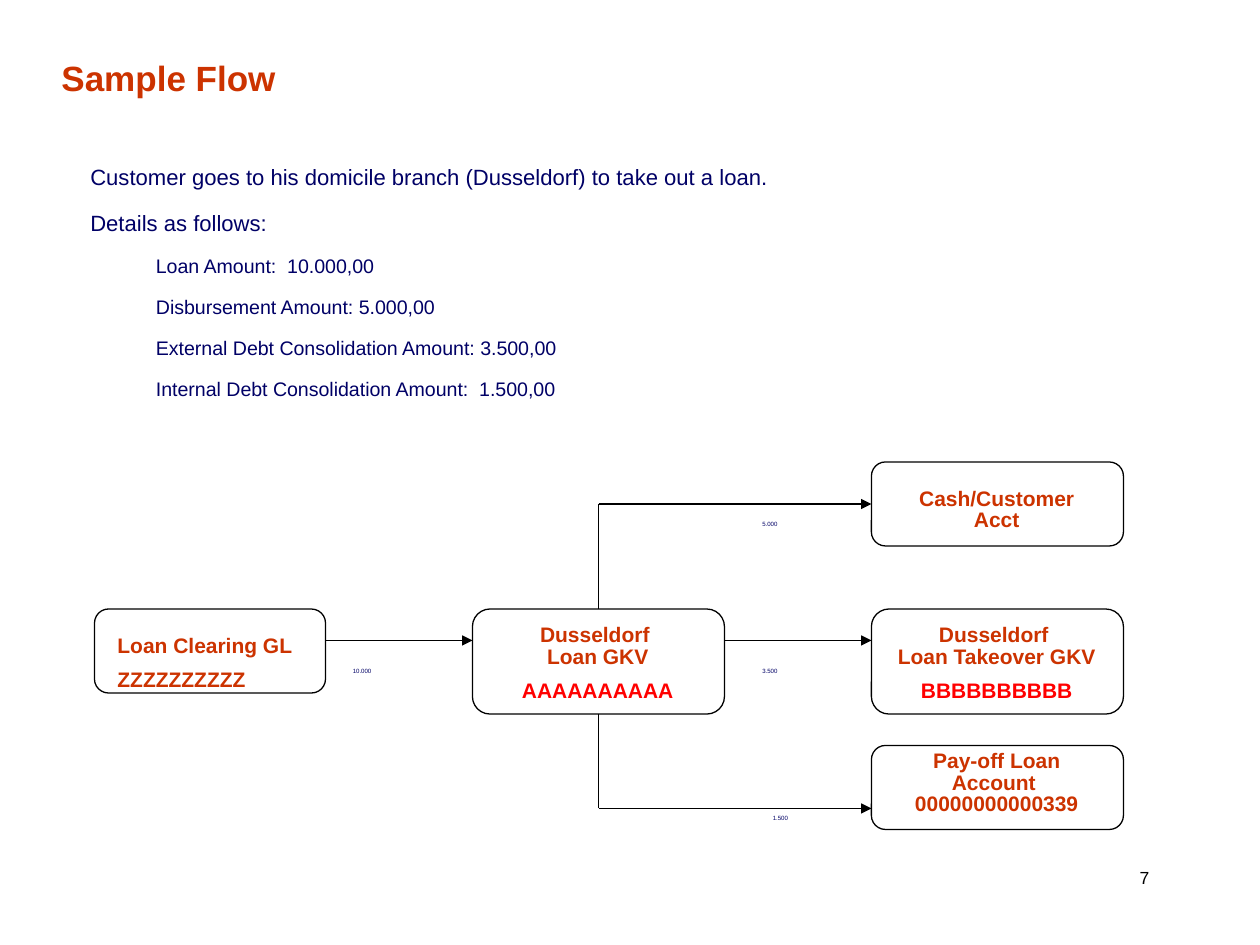
"""Build the sample loan flow slide."""
from dataclasses import dataclass
from typing import NamedTuple, Optional

from lxml import etree
from pptx import Presentation
from pptx.dml.color import RGBColor
from pptx.enum.shapes import MSO_CONNECTOR, MSO_SHAPE
from pptx.enum.text import MSO_ANCHOR, MSO_AUTO_SIZE, PP_ALIGN
from pptx.oxml.ns import qn
from pptx.util import Pt

LEFT, CENTER = PP_ALIGN.LEFT, PP_ALIGN.CENTER
TOP, MIDDLE = MSO_ANCHOR.TOP, MSO_ANCHOR.MIDDLE
GROW, FIXED = MSO_AUTO_SIZE.SHAPE_TO_FIT_TEXT, MSO_AUTO_SIZE.NONE
ROUND, STRAIGHT = MSO_SHAPE.ROUNDED_RECTANGLE, MSO_CONNECTOR.STRAIGHT
UP, WEST, DOWN = 0, 1, 2


@dataclass(frozen=True)
class Theme:
    font: str = "Arial"
    black: str = "000000"
    navy: str = "000066"
    rust: str = "CC3300"
    red: str = "FF0000"
    title: float = 20
    body: float = 12.6
    detail: float = 11.2
    node: float = 12
    page: float = 10
    label: float = 3.5
    line: float = 0.75
    tight: float = 0.85


THEME = Theme()


class Area(NamedTuple):
    left: float
    top: float
    width: float
    height: float


@dataclass(frozen=True)
class Para:
    text: str
    size: float
    color: str
    bold: bool = False
    before: float = 0
    spacing: Optional[float] = None
    align: PP_ALIGN = LEFT
    level: int = 0
    indent: float = 0


@dataclass(frozen=True)
class Node:
    area: Area
    inset: float
    height: float
    name: str
    code: str = ""
    tint: str = THEME.red
    align: PP_ALIGN = CENTER


@dataclass(frozen=True)
class Link:
    start: tuple[float, float]
    end: tuple[float, float]
    arrow: bool = False
    source: Optional[tuple[str, int]] = None
    target: Optional[tuple[str, int]] = None


class Label(NamedTuple):
    text: str
    left: float
    top: float


COL, WIDE = 498, 144
NODES = {
    "clear": Node(Area(54, 348, 132, 48), 12, 39.6, "Loan Clearing GL",
                  "ZZZZZZZZZZ", THEME.rust, LEFT),
    "loan": Node(Area(270, 348, WIDE, 60), 6, 51.8,
                 "Dusseldorf \nLoan GKV", "AAAAAAAAAA"),
    "take": Node(Area(COL, 348, WIDE, 60), 6, 51.8,
                 "Dusseldorf \nLoan Takeover GKV", "BBBBBBBBBB"),
    "pay": Node(Area(COL, 426, WIDE, 48), 0, 44.6,
                "Pay-off Loan Account \n00000000000339"),
    "cash": Node(Area(COL, 264, WIDE, 48), 12, 32.4, "Cash/Customer Acct"),
}
LINKS = [
    Link((186, 366), (270, 366), True),
    Link((414, 366), (COL, 366), True),
    Link((342, 348), (342, 288), source=("loan", UP)),
    Link((342, 408), (342, 462), source=("loan", DOWN)),
    Link((342, 462), (COL, 462), True),
    Link((342, 288), (COL, 288), True, target=("cash", WEST)),
]
LABELS = [Label("10.000", 198, 378), Label("3.500", 432, 378),
          Label("1.500", 438, 462), Label("5.000", 432, 294)]
INTRO = ["Customer goes to his domicile branch (Dusseldorf) to take out a loan.",
         "Details as follows:"]
DETAILS = ["Loan Amount:  10.000,00",
           "Disbursement Amount: 5.000,00",
           "External Debt Consolidation Amount: 3.500,00",
           "Internal Debt Consolidation Amount:  1.500,00"]


def add_text(slide, area: Area, paras: list[Para], side: float = 7.2,
             anchor: MSO_ANCHOR = TOP, fit: MSO_AUTO_SIZE = FIXED) -> None:
    frame = slide.shapes.add_textbox(*map(Pt, area)).text_frame
    frame.word_wrap = True
    frame.auto_size = fit
    frame.vertical_anchor = anchor
    frame.margin_left = frame.margin_right = Pt(side)
    frame.margin_top = frame.margin_bottom = Pt(3.6)
    for index, para in enumerate(paras):
        block = frame.add_paragraph() if index else frame.paragraphs[0]
        block.alignment = para.align
        block.level = para.level
        block.space_before = Pt(para.before)
        if para.spacing:
            block.line_spacing = para.spacing
        if para.indent:
            block._p.get_or_add_pPr().set("marL", str(Pt(para.indent)))
        for row, text in enumerate(para.text.split("\n")):
            if row:
                block.add_line_break()
            run = block.add_run()
            run.text = text
            run.font.name = THEME.font
            run.font.size = Pt(para.size)
            run.font.bold = para.bold
            run.font.color.rgb = RGBColor.from_string(para.color)


def add_node(slide, node: Node):
    box = slide.shapes.add_shape(ROUND, *map(Pt, node.area))
    box.adjustments[0] = 0.167
    box.shadow.inherit = False
    box.fill.background()
    box.line.color.rgb = RGBColor.from_string(THEME.black)
    box.line.width = Pt(THEME.line)
    rows = [(node.name, THEME.rust), (node.code, node.tint)]
    paras = [Para(text, THEME.node, color, True, 7.5, THEME.tight, node.align)
             for text, color in rows if text]
    left, top, width, _ = node.area
    area = Area(left + 6, top + node.inset, width - 12.8, node.height)
    add_text(slide, area, paras, fit=GROW)
    return box


def add_link(slide, link: Link, boxes: dict) -> None:
    line = slide.shapes.add_connector(
        STRAIGHT, *map(Pt, link.start + link.end))
    line.line.color.rgb = RGBColor.from_string(THEME.black)
    line.line.width = Pt(THEME.line)
    if link.source:
        name, side = link.source
        line.begin_connect(boxes[name], side)
    if link.target:
        name, side = link.target
        line.end_connect(boxes[name], side)
    if link.arrow:
        etree.SubElement(line.line._get_or_add_ln(), qn("a:tailEnd"),
                         type="triangle")
    etree.SubElement(line._element.spPr, qn("a:effectLst"))


def main() -> None:
    deck = Presentation()
    deck.slide_width, deck.slide_height = Pt(720), Pt(540)
    slide = deck.slides.add_slide(deck.slide_layouts[6])
    add_text(slide, Area(606, 492, 96, 19.4),
             [Para("7", THEME.page, THEME.black, before=6.2, align=CENTER)],
             fit=GROW)
    add_text(slide, Area(28, 15, 530, 62),
             [Para("Sample Flow", THEME.title, THEME.rust, True,
                   spacing=THEME.tight)], anchor=MIDDLE)
    intro = [Para(text, THEME.body, THEME.navy, before=11.2) for text in INTRO]
    details = [Para(text, THEME.detail, THEME.navy, before=10, level=1,
                    indent=37.5) for text in DETAILS]
    add_text(slide, Area(48, 90, 635, 234), intro + details, 3.6)
    boxes = {name: add_node(slide, node) for name, node in NODES.items()}
    for link in LINKS:
        add_link(slide, link, boxes)
    for label in LABELS:
        add_text(slide, Area(label.left, label.top, 54, 30),
                 [Para(label.text, THEME.label, THEME.navy, before=8.8)], 3.6)
    deck.save("out.pptx")


if __name__ == "__main__":
    main()
